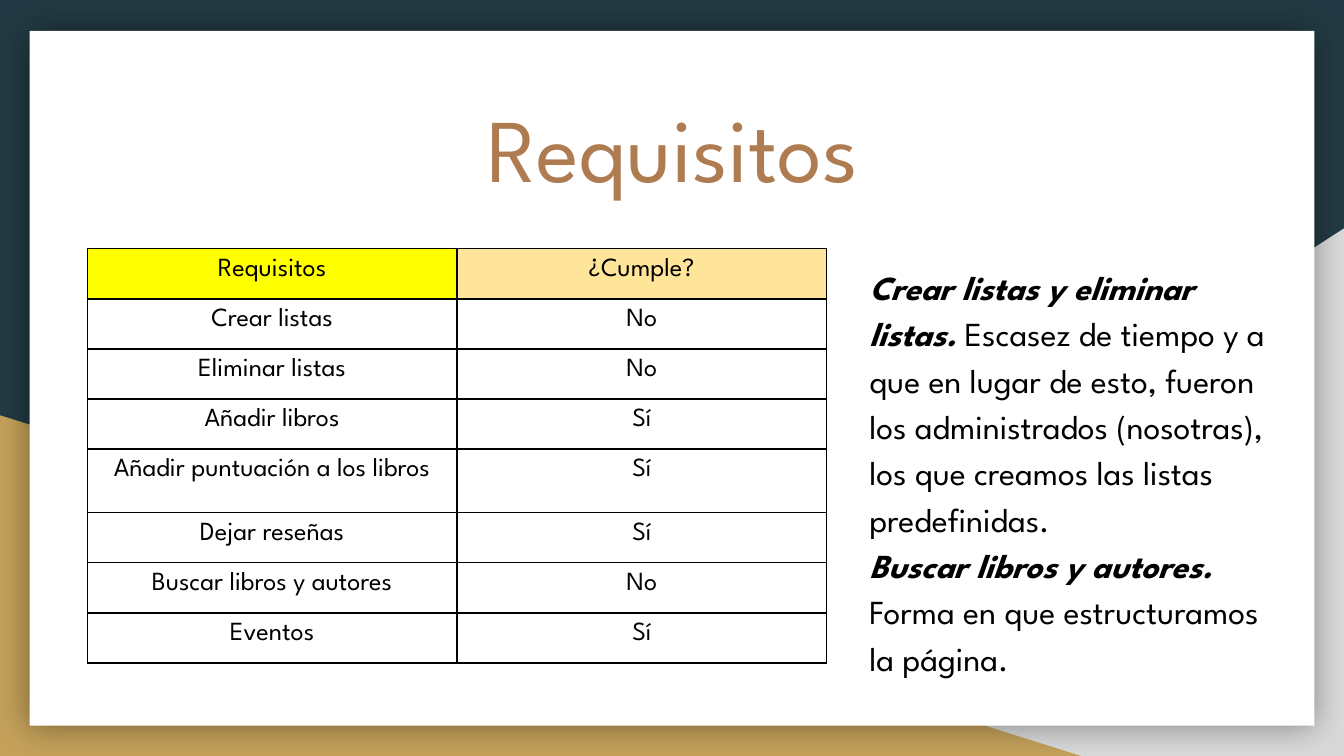
import pptx
import pptx.util
import pptx.dml.color
import pptx.enum.shapes
import pptx.enum.text
import pptx.oxml
import pptx.oxml.ns

Inches = pptx.util.Inches
Pt = pptx.util.Pt
RGBColor = pptx.dml.color.RGBColor
SHAPE = pptx.enum.shapes.MSO_SHAPE
ALIGN = pptx.enum.text.PP_ALIGN
ANCHOR = pptx.enum.text.MSO_ANCHOR

NAVY = RGBColor(0x23, 0x3A, 0x44)
GRAY = RGBColor(0xD9, 0xD9, 0xD9)
GOLD = RGBColor(0xC4, 0xA1, 0x5A)
WHITE = RGBColor(0xFF, 0xFF, 0xFF)
BROWN = RGBColor(0xAF, 0x7B, 0x51)
BLACK = RGBColor(0x00, 0x00, 0x00)
YELLOW = RGBColor(0xFF, 0xFF, 0x00)
CREAM = RGBColor(0xFF, 0xE5, 0x99)
FONT = "League Spartan"
NS = pptx.oxml.ns.nsdecls("a")


def add_run(p, text, size, color=BLACK, strong=False):
    r = p.add_run()
    r.text = text
    r.font.name = FONT
    r.font.size = Pt(size)
    r.font.color.rgb = color
    r.font.bold = strong
    r.font.italic = strong


def add_text_frame(s, left, top, width, height, anchor):
    tb = s.shapes.add_textbox(Inches(left), Inches(top), Inches(width), Inches(height))
    tf = tb.text_frame
    tf.word_wrap = True
    tf.vertical_anchor = anchor
    tf.margin_left = tf.margin_right = Inches(0.1)
    tf.margin_top = tf.margin_bottom = Inches(0.1)
    return tf


prs = pptx.Presentation()
prs.slide_width = Inches(10)
prs.slide_height = Inches(10) * 9 // 16
s = prs.slides.add_slide(prs.slide_layouts[6])
s.background.fill.solid()
s.background.fill.fore_color.rgb = NAVY

backdrop = []
for kind, left, top, width, height, color in [
    (SHAPE.RIGHT_TRIANGLE, 3.92, 1.7, 6.08, 3.93, GRAY),
    (SHAPE.RIGHT_TRIANGLE, 0, 3.09, 8.06, 2.54, GOLD),
    (SHAPE.RECTANGLE, 0.22, 0.23, 9.56, 5.17, WHITE),
]:
    sp = s.shapes.add_shape(kind, Inches(left), Inches(top), Inches(width), Inches(height))
    sp.shadow.inherit = False
    sp.fill.solid()
    sp.fill.fore_color.rgb = color
    sp.line.fill.background()
    backdrop.append(sp)

gray_corner, gold_corner, card = backdrop
gray_corner._element.spPr.find(pptx.oxml.ns.qn("a:xfrm")).set("flipH", "1")
effects = card._element.spPr.find(pptx.oxml.ns.qn("a:effectLst"))
effects.append(pptx.oxml.parse_xml(
    f'<a:outerShdw {NS} blurRad="{Pt(18)}" dist="0" dir="0" algn="ctr" rotWithShape="0">'
    '<a:srgbClr val="000000"><a:alpha val="40000"/></a:srgbClr></a:outerShdw>'))

tf = add_text_frame(s, 0.9, 0.57, 8.21, 1.04, ANCHOR.MIDDLE)
p = tf.paragraphs[0]
p.alignment = ALIGN.CENTER
add_run(p, "Requisitos", 48, BROWN)

rows = [
    ("Requisitos", "¿Cumple?"),
    ("Crear listas", "No"),
    ("Eliminar listas", "No"),
    ("Añadir libros", "Sí"),
    ("Añadir puntuación a los libros", "Sí"),
    ("Dejar reseñas", "Sí"),
    ("Buscar libros y autores", "No"),
    ("Eventos", "Sí"),
]
heights = [0.37] * len(rows)
heights[4] = 0.47
table = s.shapes.add_table(len(rows), 2, Inches(0.65), Inches(1.85),
                           Inches(5.5), Inches(sum(heights))).table
table.first_row = False
table.horz_banding = False
for column in table.columns:
    column.width = Inches(2.75)

for i, row in enumerate(rows):
    table.rows[i].height = Inches(heights[i])
    for j, text in enumerate(row):
        cell = table.cell(i, j)
        cell.margin_left = cell.margin_right = Inches(0.07)
        cell.margin_top = cell.margin_bottom = Inches(0.07)
        p = cell.text_frame.paragraphs[0]
        p.alignment = ALIGN.CENTER
        add_run(p, text, 14)
        tcPr = cell._tc.get_or_add_tcPr()
        for side in ("lnL", "lnR", "lnT", "lnB"):
            tcPr.append(pptx.oxml.parse_xml(
                f'<a:{side} {NS} w="{Pt(1)}"><a:solidFill><a:srgbClr val="000000"/>'
                f'</a:solidFill></a:{side}>'))
        if i == 0:
            cell.fill.solid()
            cell.fill.fore_color.rgb = (YELLOW, CREAM)[j]
        else:
            cell.fill.background()

reasons = [
    ("Crear listas y eliminar listas.",
     " Escasez de tiempo y a que en lugar de esto, fueron los administrados "
     "(nosotras), los que creamos las listas predefinidas."),
    ("Buscar libros y autores. ", "Forma en que estructuramos la página."),
]
tf = add_text_frame(s, 6.37, 1.84, 3.32, 3.42, ANCHOR.TOP)
for i, (requirement, reason) in enumerate(reasons):
    p = tf.paragraphs[0] if i == 0 else tf.add_paragraph()
    p.line_spacing = 1.15
    add_run(p, requirement, 18, strong=True)
    add_run(p, reason, 18)

prs.save("out.pptx")
